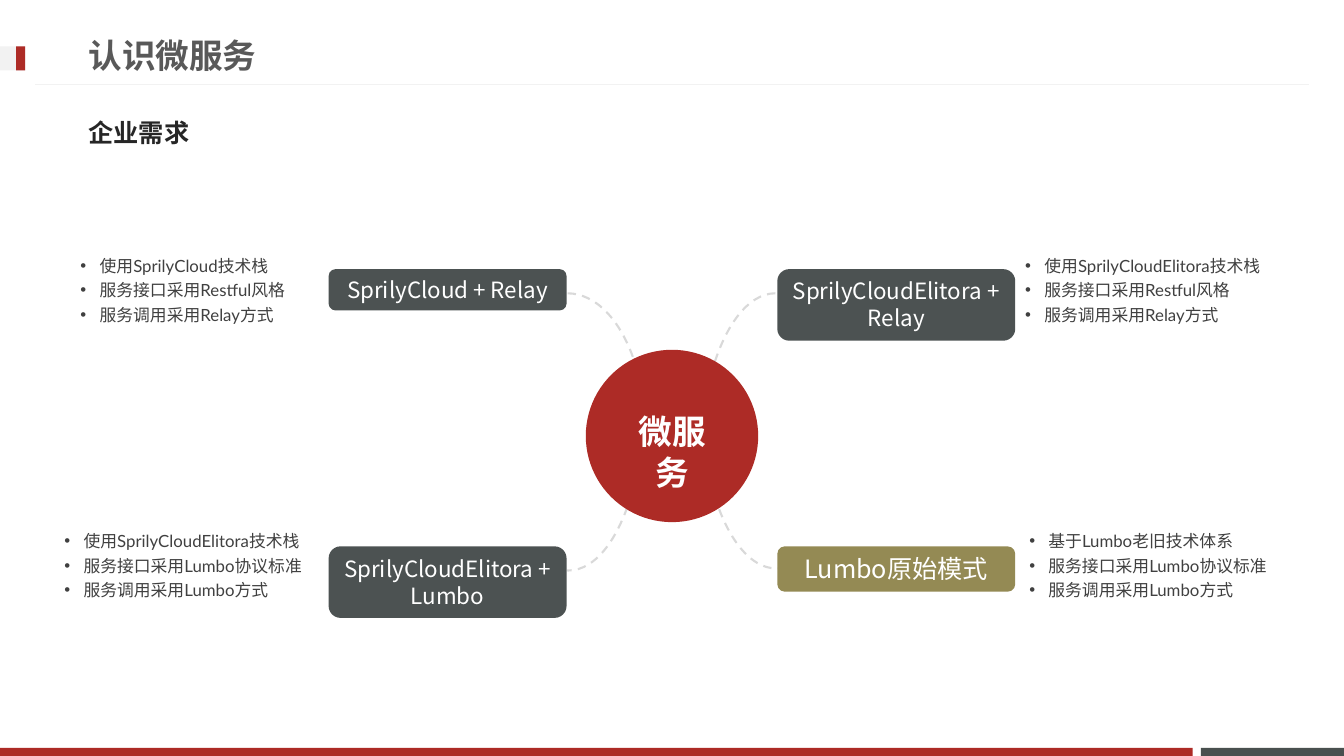
from lxml import etree
from pptx import Presentation
from pptx.dml.color import RGBColor
from pptx.enum import dml, shapes, text
from pptx.oxml.ns import qn
from pptx.util import Inches, Pt

COLORS = {
    "red": "AD2B26", "slate": "49504F", "button": "4C5252", "olive": "948A54",
    "pale": "F2F2F2", "dash": "D9D9D9", "white": "FFFFFF",
    "title": "595959", "subtitle": "262626", "bullet": "404040",
}
CJK_FONT = "Noto Sans CJK JP"

presentation = Presentation()
presentation.slide_width = Inches(13.33)
presentation.slide_height = Inches(7.5)
slide = presentation.slides.add_slide(presentation.slide_layouts[6])


def add_filled(kind, box, color):
    """Add a preset shape with a plain fill, no outline and no shadow."""
    shape = slide.shapes.add_shape(kind, *map(Inches, box))
    shape.shadow.inherit = False
    shape.fill.solid()
    shape.fill.fore_color.rgb = RGBColor.from_string(COLORS[color])
    shape.line.fill.background()
    return shape


def write(shape, lines, size, font, color, bold=False, align=text.PP_ALIGN.LEFT):
    """Write one paragraph per line into a wrapping shape."""
    frame = shape.text_frame
    frame.word_wrap = True
    for index, line in enumerate(lines):
        paragraph = frame.add_paragraph() if index else frame.paragraphs[0]
        paragraph.alignment = align
        run = paragraph.add_run()
        run.text = line
        run.font.size = Pt(size)
        run.font.name = font
        run.font.bold = bold
        run.font.color.rgb = RGBColor.from_string(COLORS[color])
        east_asian = etree.SubElement(run.font._element, qn("a:ea"))
        east_asian.set("typeface", CJK_FONT)
    return frame


# Footer bars and header tab
rectangle = shapes.MSO_SHAPE.RECTANGLE
for box, color in [
    ((11.91, 7.42, 1.42, 0.08), "slate"),
    ((0, 7.42, 11.83, 0.08), "red"),
    ((0, 0.46, 0.25, 0.24), "pale"),
    ((0.16, 0.46, 0.09, 0.24), "red"),
]:
    add_filled(rectangle, box, color)

header_rule = slide.shapes.add_connector(
    shapes.MSO_CONNECTOR.STRAIGHT,
    Inches(12.98), Inches(0.84), Inches(0.35), Inches(0.84))
header_rule.line.color.rgb = RGBColor.from_string(COLORS["pale"])
header_rule.line.width = Pt(0.75)
etree.SubElement(header_rule._element.spPr, qn("a:effectLst"))

# Headings
for box, heading, size, font, color in [
    ((0.78, 0.26, 9.59, 0.57), "认识微服务", 24, "Arial", "title"),
    ((0.78, 1.03, 11.7, 0.57), "企业需求", 18, CJK_FONT, "subtitle"),
]:
    heading_box = slide.shapes.add_textbox(*map(Inches, box))
    frame = write(heading_box, [heading], size, font, color, bold=True)
    frame.vertical_anchor = text.MSO_ANCHOR.MIDDLE

# Dashed arcs from the hub to each option
for box, start, end, flipped in [
    ((4.89, 2.26, 1.5, 3.4), 9.62, 54.32, False),
    ((6.94, 2.91, 1.5, 3.4), 162, 204.5, True),
    ((4.86, 2.91, 1.54, 2.75), 162, 205.17, False),
    ((6.95, 2.24, 1.5, 3.4), 11.52, 54.32, True),
]:
    arc = slide.shapes.add_shape(shapes.MSO_SHAPE.ARC, *map(Inches, box))
    arc.shadow.inherit = False
    arc.adjustments[0], arc.adjustments[1] = start, end
    arc.fill.background()
    arc.line.color.rgb = RGBColor.from_string(COLORS["dash"])
    arc.line.width = Pt(1.5)
    arc.line.dash_style = dml.MSO_LINE.DASH
    if flipped:
        arc._element.spPr.find(qn("a:xfrm")).set("flipH", "1")

# Options: a button and its three bullets
LEFT, RIGHT, TOP, BOTTOM = 3.26, 7.71, 2.67, 5.42
restful = "服务接口采用Restful风格"
lumbo_standard = "服务接口采用Lumbo协议标准"
relay_call = "服务调用采用Relay方式"
lumbo_call = "服务调用采用Lumbo方式"
options = [
    (LEFT, TOP, 0.41, "SprilyCloud + Relay", 16, "button", 0.7, 2.57,
     ["使用SprilyCloud技术栈", restful, relay_call]),
    (RIGHT, TOP, 0.71, "SprilyCloudElitora + Relay", 16, "button", 10.07, 2.93,
     ["使用SprilyCloudElitora技术栈", restful, relay_call]),
    (LEFT, BOTTOM, 0.71, "SprilyCloudElitora + Lumbo", 16, "button", 0.54, 2.85,
     ["使用SprilyCloudElitora技术栈", lumbo_standard, lumbo_call]),
    (RIGHT, BOTTOM, 0.45, "Lumbo原始模式", 18, "olive", 10.11, 2.68,
     ["基于Lumbo老旧技术体系", lumbo_standard, lumbo_call]),
]
for left, top, height, label, size, color, list_left, list_width, bullets in options:
    button = add_filled(shapes.MSO_SHAPE.ROUNDED_RECTANGLE,
                        (left, top, 2.36, height), color)
    frame = write(button, [label], size, CJK_FONT, "white",
                  align=text.PP_ALIGN.CENTER)
    frame.margin_left = frame.margin_right = 0
    frame.vertical_anchor = text.MSO_ANCHOR.TOP
    frame.auto_size = text.MSO_AUTO_SIZE.SHAPE_TO_FIT_TEXT

    list_top = 2.45 if top == TOP else 5.18
    bullet_box = slide.shapes.add_textbox(
        *map(Inches, (list_left, list_top, list_width, 0.81)))
    frame = write(bullet_box, bullets, 12, "Lato", "bullet")
    for paragraph in frame.paragraphs:
        paragraph.line_spacing = 1.2
        properties = paragraph._p.get_or_add_pPr()
        properties.set("marL", str(Inches(0.19)))
        properties.set("indent", str(-Inches(0.19)))
        etree.SubElement(properties, qn("a:buFont")).set("typeface", "Arial")
        etree.SubElement(properties, qn("a:buChar")).set("char", "•")

# Hub
add_filled(shapes.MSO_SHAPE.OVAL, (5.81, 3.47, 1.71, 1.71), "red")
hub_label = slide.shapes.add_textbox(*map(Inches, (6.07, 4.03, 1.19, 0.5)))
write(hub_label, ["微服务"], 24, "Arial", "white", bold=True,
      align=text.PP_ALIGN.CENTER)

presentation.save("out.pptx")
